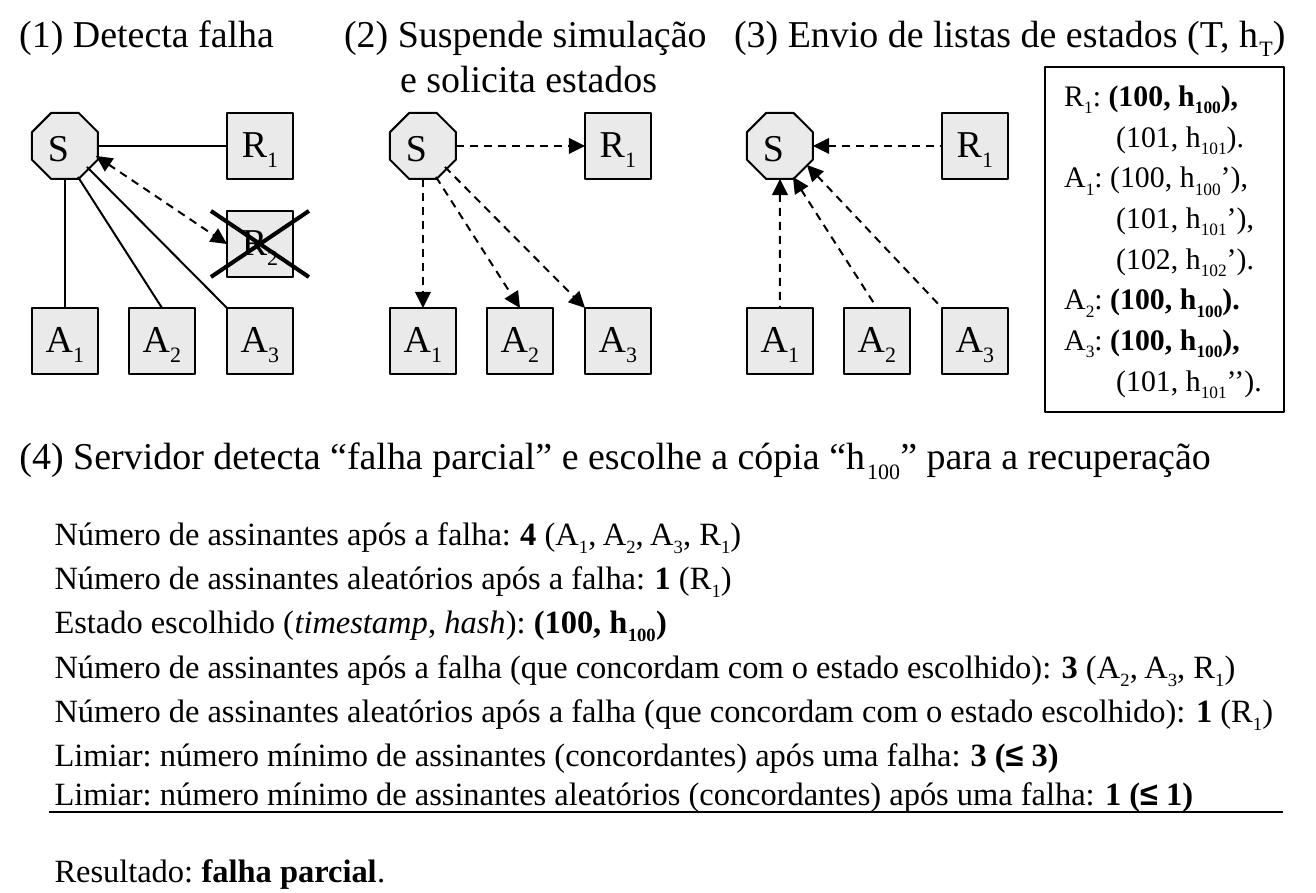
"""Build the slide on failure detection and state recovery."""
from typing import NamedTuple

import lxml.etree
import pptx
import pptx.dml.color
import pptx.enum.dml
import pptx.enum.shapes
import pptx.enum.text
import pptx.oxml.ns
import pptx.shapes.autoshape
import pptx.shapes.connector
import pptx.slide
import pptx.text.text
import pptx.util

BLACK = pptx.dml.color.RGBColor(0x00, 0x00, 0x00)
GREY = pptx.dml.color.RGBColor(0xEA, 0xEA, 0xEA)
SERIF = "Times New Roman"
SCALE = 914400 / 195
SIDE = 66
HALF = SIDE // 2
TOP = 113
COLS = (0, 97, 195)
ROWS = (0, 98, 195)
KIND = pptx.enum.shapes.MSO_SHAPE
ALIGN = pptx.enum.text.PP_ALIGN
ANCHOR = pptx.enum.text.MSO_ANCHOR


class Run(NamedTuple):
    text: str
    bold: bool = False
    low: bool = False
    slant: bool = False
    font: str = SERIF


class Para(NamedTuple):
    runs: list[Run]
    indent: int = 0
    before: float = 0


class Panel(NamedTuple):
    left: int
    dash: bool
    head: bool
    tail: bool
    tip: tuple[int, int]


class Label(NamedTuple):
    left: int
    width: int
    paras: list[Para]


def px(count: int) -> pptx.util.Emu:
    return pptx.util.Emu(round(count * SCALE))


def mix(*parts: str, bold: bool = False) -> list[Run]:
    return [Run(part, bold, spot % 2 == 1) for spot, part in enumerate(parts)]


def write(frame: pptx.text.text.TextFrame, paras: list[Para], size: int,
          align: ALIGN = ALIGN.LEFT, anchor: ANCHOR = ANCHOR.TOP, wrap: bool = True) -> None:
    frame.word_wrap = wrap
    frame.auto_size = pptx.enum.text.MSO_AUTO_SIZE.NONE
    frame.vertical_anchor = anchor
    for spot, para in enumerate(paras):
        line = frame.add_paragraph() if spot else frame.paragraphs[0]
        props = line._p.get_or_add_pPr()
        props.set("marL", str(px(para.indent)))
        props.set("indent", "0")
        lxml.etree.SubElement(props, pptx.oxml.ns.qn("a:buNone"))
        line.alignment = align
        line.space_before = pptx.util.Pt(para.before)
        for part in para.runs:
            run = line.add_run()
            run.text = part.text
            run.font.name = part.font
            run.font.size = pptx.util.Pt(size)
            run.font.bold = part.bold
            run.font.italic = part.slant
            run.font.color.rgb = BLACK
            if part.low:
                run._r.get_or_add_rPr().set("baseline", "-25000")


def place(shape: pptx.shapes.autoshape.Shape, left: int, top: int, width: int, height: int) -> None:
    shape.left, shape.top = px(left), px(top)
    shape.width, shape.height = px(width), px(height)


def frame(slide: pptx.slide.Slide, kind: KIND, left: int, top: int, width: int, height: int,
          fill: pptx.dml.color.RGBColor | None = None) -> pptx.shapes.autoshape.Shape:
    shape = slide.shapes.add_shape(kind, px(left), px(top), px(width), px(height))
    shape.shadow.inherit = False
    if fill is None:
        shape.fill.background()
    else:
        shape.fill.solid()
        shape.fill.fore_color.rgb = fill
    shape.line.color.rgb = BLACK
    shape.line.width = pptx.util.Pt(0.75)
    return shape


def link(slide: pptx.slide.Slide, start: tuple[int, int], end: tuple[int, int],
         width: float = 0.75, dash: bool = False, head: bool = False,
         tail: bool = False) -> pptx.shapes.connector.Connector:
    line = slide.shapes.add_connector(pptx.enum.shapes.MSO_CONNECTOR.STRAIGHT,
                                      *(px(value) for value in start + end))
    line.line.color.rgb = BLACK
    line.line.width = pptx.util.Pt(width)
    if dash:
        line.line.dash_style = pptx.enum.dml.MSO_LINE.DASH
    stroke = line.line._get_or_add_ln()
    for tag, shown in (("a:headEnd", head), ("a:tailEnd", tail)):
        if shown:
            lxml.etree.SubElement(stroke, pptx.oxml.ns.qn(tag), type="triangle")
    lxml.etree.SubElement(line._element.spPr, pptx.oxml.ns.qn("a:effectLst"))
    return line


def node(slide: pptx.slide.Slide, name: str, left: int, top: int) -> pptx.shapes.autoshape.Shape:
    box = frame(slide, KIND.RECTANGLE, left, top, SIDE, SIDE, GREY)
    write(box.text_frame, [Para(mix(*name))], 14, ALIGN.CENTER, ANCHOR.MIDDLE, False)
    return box


def draw(slide: pptx.slide.Slide, panel: Panel) -> None:
    left = panel.left
    hub = frame(slide, KIND.OCTAGON, left, TOP, SIDE, SIDE, GREY)
    hub.adjustments[0] = 0.293
    write(hub.text_frame, [Para(mix("S"))], 14, ALIGN.RIGHT, ANCHOR.MIDDLE, False)
    peer = node(slide, "R1", left + COLS[2], TOP)
    subs = [node(slide, f"A{spot}", left + col, TOP + ROWS[2]) for spot, col in enumerate(COLS, 1)]
    goals = (((SIDE, HALF), (COLS[2], HALF), peer, 1), ((HALF, SIDE), (HALF, ROWS[2]), subs[0], 0),
             ((46, 64), (COLS[1] + HALF, ROWS[2]), subs[1], 0),
             (panel.tip, (COLS[2], ROWS[2]), None, 0))
    for start, end, goal, site in goals:
        line = link(slide, (left + start[0], TOP + start[1]), (left + end[0], TOP + end[1]),
                    dash=panel.dash, head=panel.head, tail=panel.tail)
        if goal is not None:
            line.end_connect(goal, site)


PANELS = [
    Panel(32, False, False, False, (55, 54)),
    Panel(390, True, False, True, (55, 54)),
    Panel(747, True, True, False, (60, 52)),
]
LABELS = [
    Label(0, 325, [Para(mix("(1) Detecta falha"))]),
    Label(325, 536, [Para(mix("(2) Suspende simulação")), Para(mix("e solicita estados"), 56)]),
    Label(715, 601, [Para(mix("(3) Envio de listas de estados (T, h", "T", ")"))]),
]
STATES = [
    Para(mix("R", "1", ": ") + mix("(100, h", "100", "),", bold=True)),
    Para(mix("(101, h", "101", ")."), 52),
    Para(mix("A", "1", ": (100, h", "100", "’),")),
    Para(mix("(101, h", "101", "’),"), 52),
    Para(mix("(102, h", "102", "’)."), 52),
    Para(mix("A", "2", ": ") + mix("(100, h", "100", ").", bold=True)),
    Para(mix("A", "3", ": ") + mix("(100, h", "100", "),", bold=True)),
    Para(mix("(101, h", "101", "’’)."), 52),
]
TITLE = [Para(mix("(4) Servidor detecta “falha parcial” e escolhe a cópia “h", "100",
                  "” para a recuperação"))]
FACTS = [
    Para([Run("Número de assinantes após a falha: "), Run("4", True),
          *mix(" (A", "1", ", A", "2", ", A", "3", ", R", "1", ")")]),
    Para([Run("Número de assinantes aleatórios após a falha: "), Run("1", True),
          *mix(" (R", "1", ")")]),
    Para([Run("Estado escolhido ("), Run("timestamp", slant=True), Run(", "),
          Run("hash", slant=True), Run("):"), *mix(" (100, h", "100", ")", bold=True)]),
    Para([Run("Número de assinantes após a falha (que concordam com o estado escolhido): "),
          Run("3", True), *mix(" (A", "2", ", A", "3", ", R", "1", ")")]),
    Para([Run("Número de assinantes aleatórios após a falha (que concordam com o estado escolhido): "),
          Run("1", True), *mix(" (R", "1", ")")]),
    Para([Run("Limiar: número mínimo de assinantes (concordantes) após uma falha: "),
          Run("3 (", True), Run("≤", True, font="Arial"), Run(" 3)", True)]),
    Para([Run("Limiar: número mínimo de assinantes aleatórios (concordantes) após uma falha: "),
          Run("1 (", True), Run("≤", True, font="Arial"), Run(" 1)", True)]),
    Para([Run("Resultado: "), Run("falha parcial", True), Run(".")], before=14),
]


def main() -> None:
    deck = pptx.Presentation()
    deck.slide_width, deck.slide_height = px(1316), px(893)
    slide = deck.slides.add_slide(deck.slide_layouts[1])
    title, body = slide.shapes.title, slide.placeholders[1]
    place(title, 0, 422, 1284, 72)
    write(title.text_frame, TITLE, 14)
    place(body, 35, 503, 1281, 390)
    write(body.text_frame, FACTS, 12)
    for label in LABELS:
        box = slide.shapes.add_textbox(px(label.left), 0, px(label.width), px(72))
        write(box.text_frame, label.paras, 14)
    for panel in PANELS:
        draw(slide, panel)
    left, top = PANELS[0].left + COLS[2], TOP + ROWS[1]
    lost = node(slide, "R2", left, top)
    line = link(slide, (96, 156), (left, top + HALF), dash=True, head=True, tail=True)
    line.end_connect(lost, 1)
    for start, end in ((-16, 82), (82, -16)):
        link(slide, (left + start, top), (left + end, top + SIDE), 1.5)
    states = frame(slide, KIND.RECTANGLE, 1045, 67, 239, 345)
    write(states.text_frame, STATES, 11, wrap=False)
    link(slide, (49, 812), (1283, 812))
    deck.save("out.pptx")


if __name__ == "__main__":
    main()
